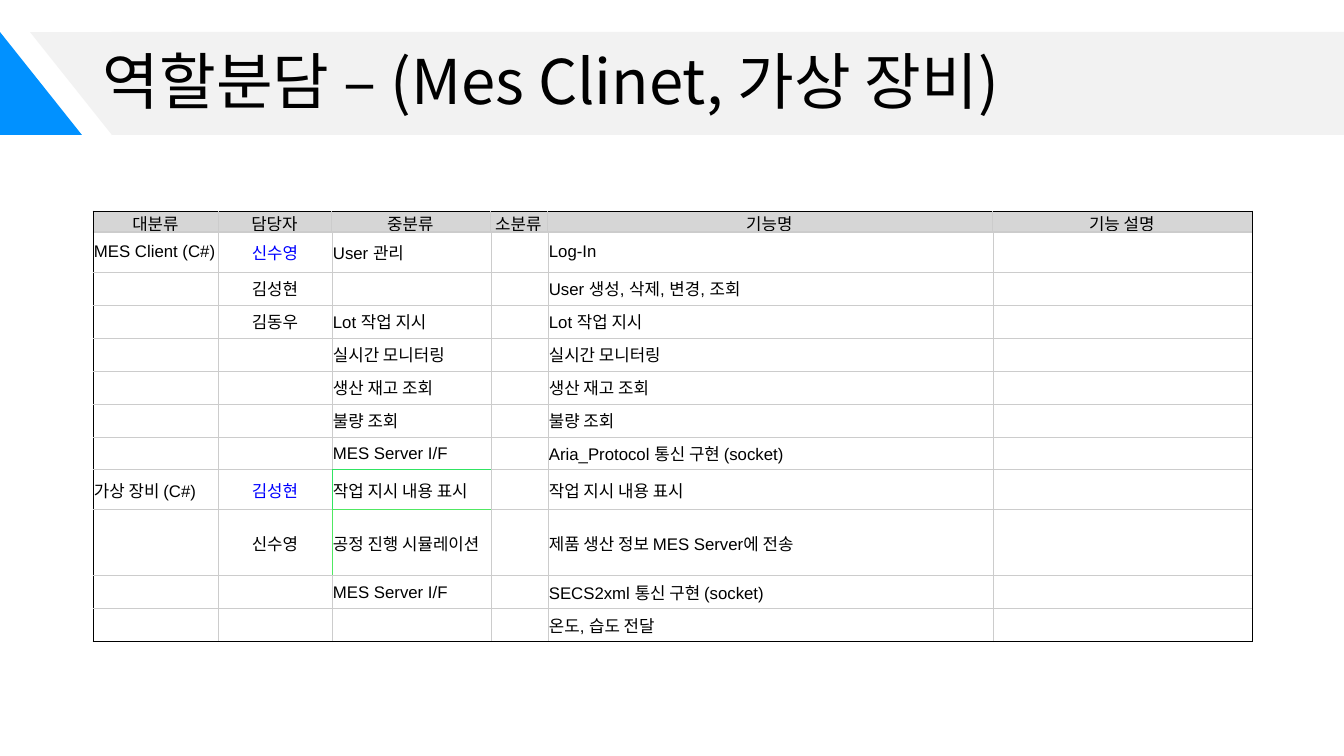
"""Build the role assignment slide for the MES client and virtual equipment."""
from pptx import Presentation
from pptx.dml.color import RGBColor
from pptx.enum.shapes import MSO_SHAPE
from pptx.enum.text import MSO_ANCHOR, PP_ALIGN
from pptx.oxml import parse_xml
from pptx.oxml.ns import nsdecls, qn
from pptx.util import Emu, Pt

TRIANGLE, RECTANGLE = MSO_SHAPE.RIGHT_TRIANGLE, MSO_SHAPE.RECTANGLE
LEFT, CENTER, MIDDLE = PP_ALIGN.LEFT, PP_ALIGN.CENTER, MSO_ANCHOR.MIDDLE

THEME = {
    "latin": "Arial", "korean": "Noto Sans CJK KR",
    "title_size": 44, "cell_size": 12, "border_width": 0.6,
    "text": "000000", "lead": "0000FF", "accent": "0191FF", "band": "F2F2F2",
    "header": "D6D6D6", "grid": "CCCCCC", "frame": "000000",
    "green": "30E462", "lime": "50E862",
}

TITLE = "역할분담 – (Mes Clinet, 가상 장비)"
HEADER = [("대분류", "담당자", "중분류", "소분류", "기능명", "기능 설명")]
ROLES = [
    ("MES Client (C#)", "신수영", "User 관리", "", "Log-In", ""),
    ("", "김성현", "", "", "User 생성, 삭제, 변경, 조회", ""),
    ("", "김동우", "Lot 작업 지시", "", "Lot 작업 지시", ""),
    ("", "", "실시간 모니터링", "", "실시간 모니터링", ""),
    ("", "", "생산 재고 조회", "", "생산 재고 조회", ""),
    ("", "", "불량 조회", "", "불량 조회", ""),
    ("", "", "MES Server I/F", "", "Aria_Protocol 통신 구현 (socket)", ""),
    ("가상 장비 (C#)", "김성현", "작업 지시 내용 표시", "", "작업 지시 내용 표시", ""),
    ("", "신수영", "공정 진행 시뮬레이션", "", "제품 생산 정보 MES Server에 전송", ""),
    ("", "", "MES Server I/F", "", "SECS2xml 통신 구현 (socket)", ""),
    ("", "", "", "", "온도, 습도 전달", ""),
]
ROLE_HEIGHTS = [40, 33, 33, 33, 33, 33, 33, 40, 66, 33, 33]
HEADER_WIDTHS = [125, 113, 159, 57, 445, 260]
ROLE_WIDTHS = [125, 114, 159, 57, 445, 259]
OWNER_COLUMN = 1
HIGHLIGHTS = {
    (6, 2, "B"): "green", (7, 2, "T"): "green", (7, 1, "R"): "green", (7, 2, "L"): "green",
    (7, 2, "B"): "lime", (8, 2, "T"): "lime", (8, 1, "R"): "lime", (8, 2, "L"): "lime",
}
BANNER = [
    (TRIANGLE, 0, 82, 0, "accent"),
    (RECTANGLE, 112, 1232, 0, "band"),
    (TRIANGLE, 30, 82, 180, "band"),
]
BANNER_TOP, BANNER_HEIGHT = 32, 103


def px(value):
    return Emu(round(value * 914400 / 100.8))


def color(key):
    return RGBColor.from_string(THEME[key])


def write(tf, text, size, latin, ink="text", align=LEFT):
    p = tf.paragraphs[0]
    p.alignment = align
    if text:
        r = p.add_run()
        r.text = text
        for name, value in {"size": Pt(size), "name": THEME[latin]}.items():
            setattr(r.font, name, value)
        r.font.color.rgb = color(ink)
        ea = parse_xml(f'<a:ea {nsdecls("a")} typeface="{THEME["korean"]}"/>')
        r.font._element.find(qn("a:latin")).addnext(ea)
    return p


def draw_border(cell, order, side, key):
    line = parse_xml(
        f'<a:ln{side} {nsdecls("a")} w="{Pt(THEME["border_width"])}"><a:solidFill>'
        f'<a:srgbClr val="{THEME[key]}"/></a:solidFill></a:ln{side}>')
    cell._tc.get_or_add_tcPr().insert(order, line)


def add_grid(s, rows, top, widths, heights, is_header):
    last_row, last_col = len(rows) - 1, len(widths) - 1
    table = s.shapes.add_table(len(rows), len(widths), px(93), px(top),
                               px(sum(widths)), px(sum(heights))).table
    table.first_row = table.horz_banding = False
    for tracks, attr, sizes in ((table.columns, "width", widths), (table.rows, "height", heights)):
        for track, size in zip(tracks, sizes):
            setattr(track, attr, px(size))
    for i, row in enumerate(rows):
        for j, text in enumerate(row):
            cell = table.cell(i, j)
            for name, value in {"margin_left": px(1), "margin_right": px(1), "margin_top": 0,
                                "margin_bottom": 0, "vertical_anchor": MIDDLE}.items():
                setattr(cell, name, value)
            if is_header:
                cell.fill.solid()
                cell.fill.fore_color.rgb = color("header")
            else:
                cell.fill.background()
            is_lead = not is_header and j == OWNER_COLUMN and row[0]
            write(cell.text_frame, text, THEME["cell_size"], "latin",
                  "lead" if is_lead else "text",
                  CENTER if is_header or j == OWNER_COLUMN else LEFT)
            outer = {"L": j == 0, "R": j == last_col, "T": is_header,
                     "B": not is_header and i == last_row}
            for order, (side, framed) in enumerate(outer.items()):
                key = "frame" if framed else "grid"
                if not is_header:
                    key = HIGHLIGHTS.get((i, j, side), key)
                draw_border(cell, order, side, key)


prs = Presentation()
prs.slide_width, prs.slide_height = px(1344), px(756)
s = prs.slides.add_slide(prs.slide_layouts[6])

for kind, left, width, rotation, fill in BANNER:
    sp = s.shapes.add_shape(kind, px(left), px(BANNER_TOP), px(width), px(BANNER_HEIGHT))
    sp.rotation = rotation
    sp.shadow.inherit = False
    sp.fill.solid()
    sp.fill.fore_color.rgb = color(fill)
    sp.line.fill.background()

tf = s.shapes.add_textbox(px(93), px(12), px(1159), px(146)).text_frame
tf.word_wrap = True
tf.vertical_anchor = MIDDLE
write(tf, TITLE, THEME["title_size"], "korean").line_spacing = 0.9

add_grid(s, ROLES, 232, ROLE_WIDTHS, ROLE_HEIGHTS, False)
add_grid(s, HEADER, 211, HEADER_WIDTHS, [18], True)

prs.save("out.pptx")
